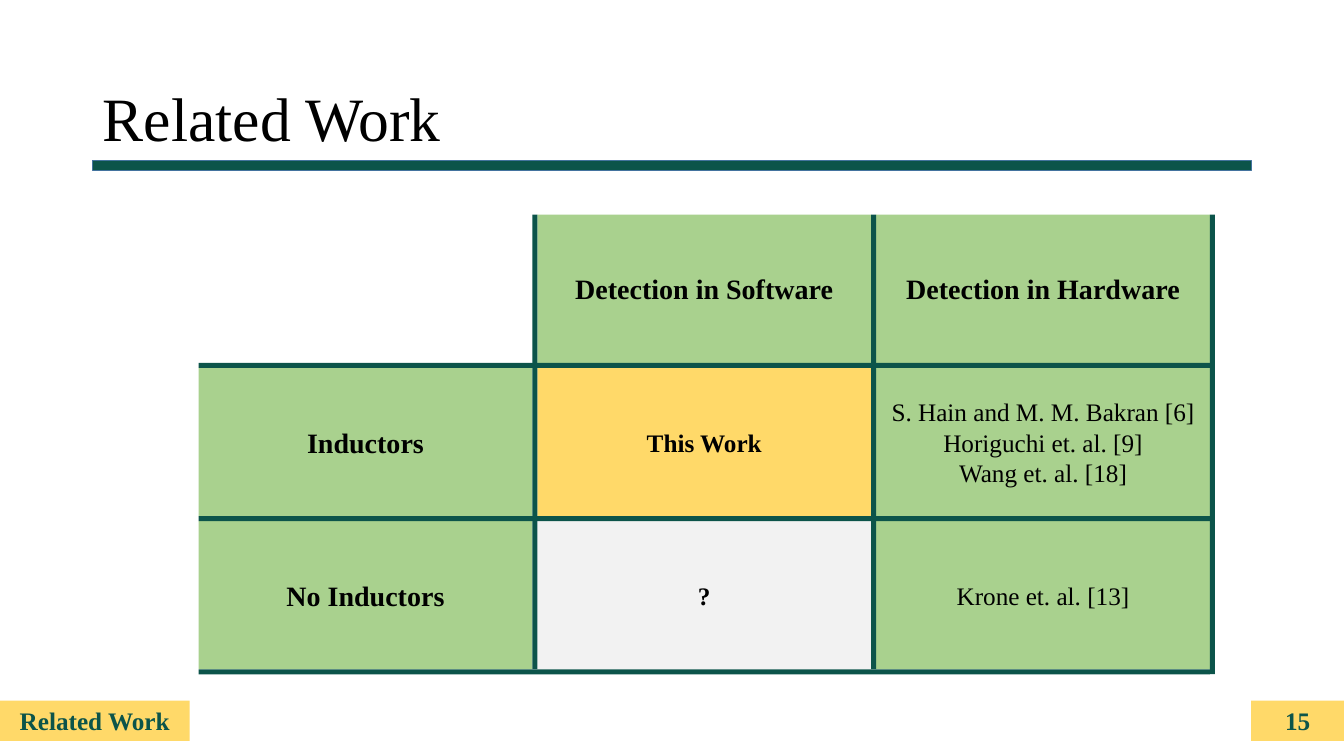
from pptx import Presentation
from pptx import util as u
from pptx.dml.color import RGBColor
from pptx.enum import shapes, text

FONT = "Times New Roman"
BLACK = RGBColor(0x00, 0x00, 0x00)
DARK_GREEN = RGBColor(0x0C, 0x54, 0x4A)
LIGHT_GREEN = RGBColor(0xA9, 0xD1, 0x8E)
YELLOW = RGBColor(0xFF, 0xD9, 0x69)
GREY = RGBColor(0xF2, 0xF2, 0xF2)
BLUE = RGBColor(0x43, 0x73, 0x9E)

WIDTH, HEIGHT = 13.33, 7.5
MARGIN = 0.92
LEFT, TOP = 1.97, 2.13
CELL_W, CELL_H = 3.31, 1.47
BAR = 0.05
COL, ROW = 3.36, CELL_H + BAR

# column, row, words, fill, size, bold
CELLS = [
    (1, 0, "Detection in Software", LIGHT_GREEN, 20, True),
    (2, 0, "Detection in Hardware", LIGHT_GREEN, 20, True),
    (0, 1, "Inductors", LIGHT_GREEN, 20, True),
    (1, 1, "This Work", YELLOW, 18, True),
    (2, 1, "S. Hain and M. M. Bakran [6]\nHoriguchi et. al. [9]\nWang et. al. [18]",
     LIGHT_GREEN, 18, False),
    (0, 2, "No Inductors", LIGHT_GREEN, 20, True),
    (1, 2, "?", GREY, 18, True),
    (2, 2, "Krone et. al. [13]", LIGHT_GREEN, 18, False),
]


def write(tf, words, size, color, bold, align, anchor):
    tf.word_wrap = True
    tf.vertical_anchor = anchor
    p = tf.paragraphs[0]
    p.text = words
    p.alignment = align
    p.font.name = FONT
    p.font.size = u.Pt(size)
    p.font.bold = bold
    p.font.color.rgb = color


def add_rect(s, x, y, w, h, fill):
    sp = s.shapes.add_shape(shapes.MSO_SHAPE.RECTANGLE,
                            u.Inches(x), u.Inches(y), u.Inches(w), u.Inches(h))
    sp.shadow.inherit = False
    sp.fill.solid()
    sp.fill.fore_color.rgb = fill
    sp.line.fill.background()
    return sp


def add_label(s, x, y, w, h, fill, words, size, color, bold):
    sp = add_rect(s, x, y, w, h, fill)
    write(sp.text_frame, words, size, color, bold,
          text.PP_ALIGN.CENTER, text.MSO_ANCHOR.MIDDLE)


def add_title(s, words):
    title = s.shapes.title
    title.left, title.top = u.Inches(MARGIN), u.Inches(0.4)
    title.width, title.height = u.Inches(WIDTH - 2 * MARGIN), u.Inches(1.19)
    write(title.text_frame, words, 44, BLACK, False,
          text.PP_ALIGN.LEFT, text.MSO_ANCHOR.BOTTOM)
    title.text_frame.paragraphs[0].line_spacing = 0.9
    rule = add_rect(s, MARGIN, 1.59, WIDTH - 2 * MARGIN, 0.1, DARK_GREEN)
    rule.line.color.rgb = BLUE
    rule.line.width = u.Pt(1)


def add_matrix(s):
    for col, row, words, fill, size, bold in CELLS:
        add_label(s, LEFT + col * COL, TOP + row * ROW, CELL_W, CELL_H,
                  fill, words, size, BLACK, bold)
    for i in (1, 2, 3):
        add_rect(s, LEFT, TOP + i * ROW - BAR, 2 * COL + CELL_W, BAR, DARK_GREEN)
        length = 3 * ROW if i == 3 else 3 * ROW - BAR
        add_rect(s, LEFT + i * COL - BAR, TOP, BAR, length, DARK_GREEN)


def add_footer(s, section, number):
    for x, w, words in ((0, 1.88, section), (WIDTH - MARGIN, MARGIN, number)):
        add_label(s, x, 6.95, w, 0.4, YELLOW, words, 18, DARK_GREEN, True)


def main():
    prs = Presentation()
    prs.slide_width, prs.slide_height = u.Inches(WIDTH), u.Inches(HEIGHT)
    s = prs.slides.add_slide(prs.slide_layouts[5])
    add_title(s, "Related Work")
    add_matrix(s)
    add_footer(s, "Related Work", "15")
    prs.save("out.pptx")


if __name__ == "__main__":
    main()
